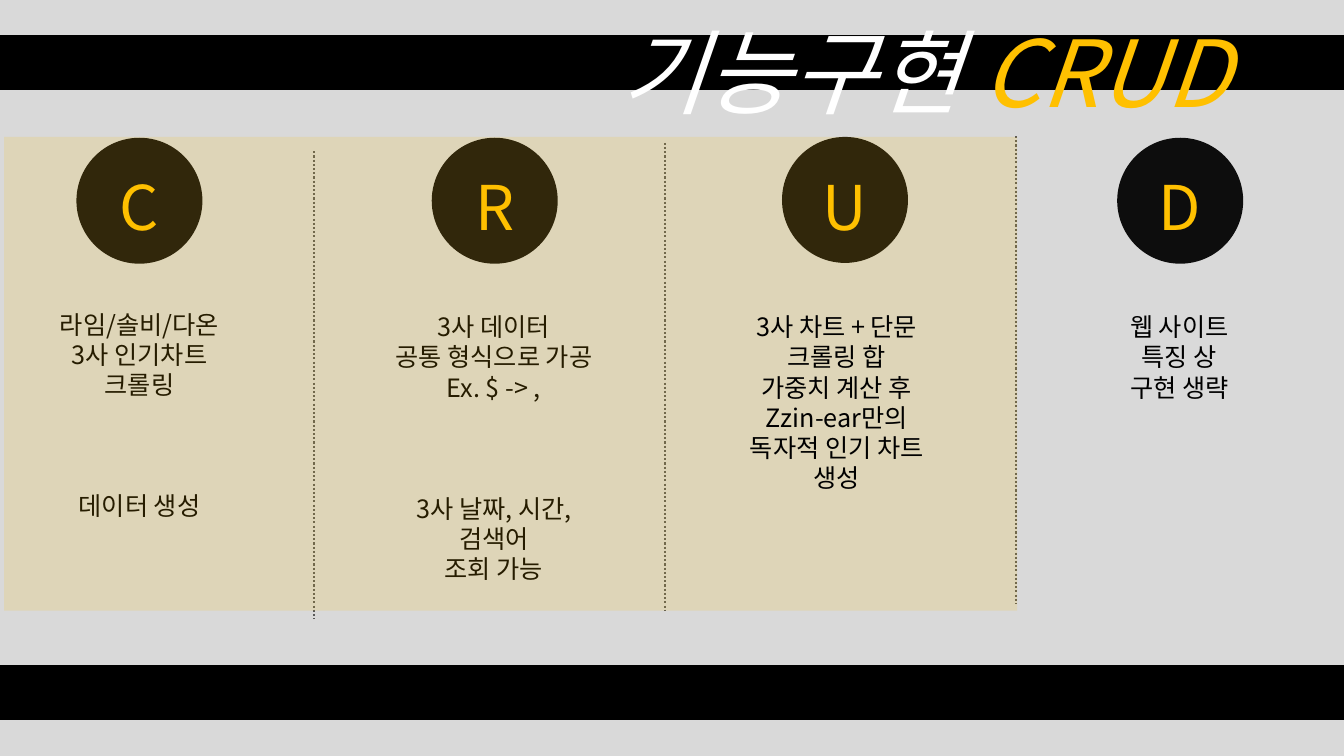
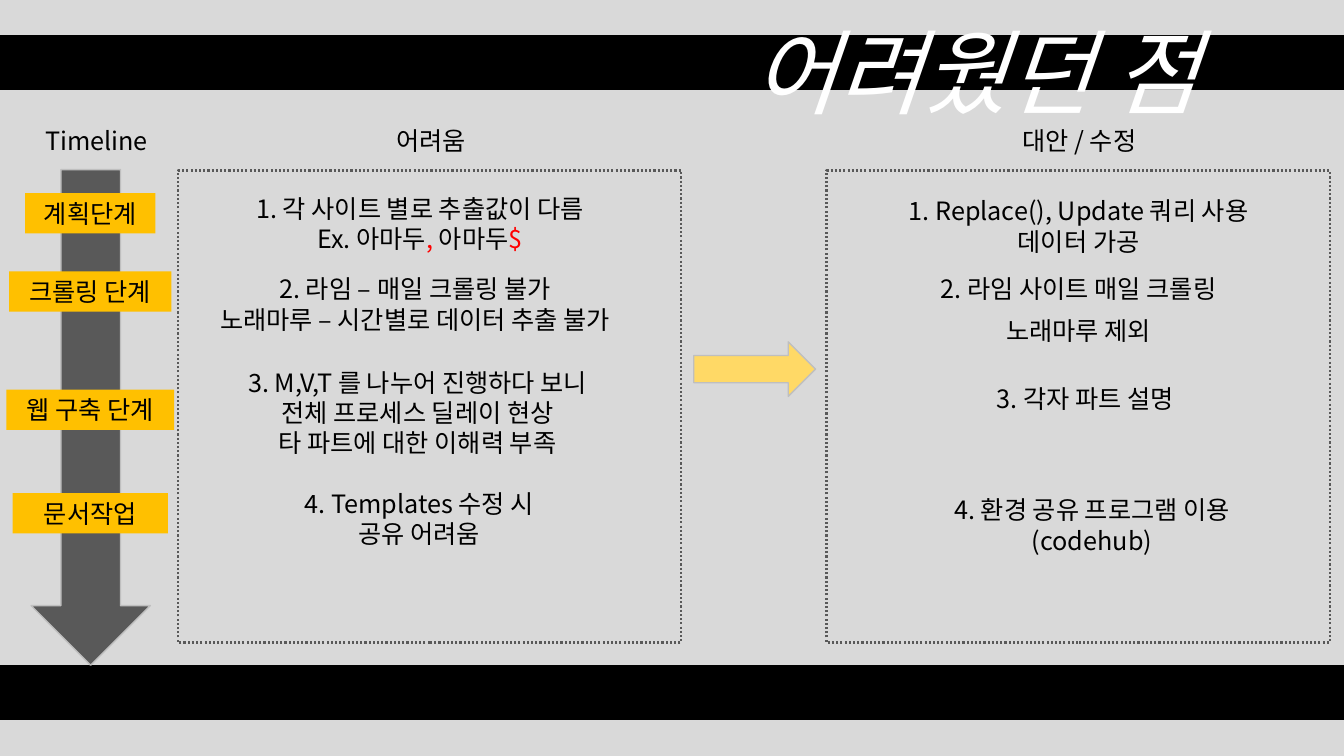
from lxml.etree import SubElement
from pptx import Presentation
from pptx.dml.color import RGBColor
from pptx.enum.dml import MSO_LINE
from pptx.enum.shapes import MSO_CONNECTOR, MSO_SHAPE
from pptx.enum.text import MSO_ANCHOR, MSO_AUTO_SIZE, PP_ALIGN
from pptx.oxml.ns import qn
from pptx.util import Inches, Pt

BLACK = RGBColor(0x00, 0x00, 0x00)
WHITE = RGBColor(0xFF, 0xFF, 0xFF)
PAPER = RGBColor(0xD9, 0xD9, 0xD9)
COAL = RGBColor(0x0D, 0x0D, 0x0D)
SLATE = RGBColor(0x59, 0x59, 0x59)
EDGE = RGBColor(0xBF, 0xBF, 0xBF)
GOLD = RGBColor(0xFF, 0xC0, 0x00)
SAND = RGBColor(0xFF, 0xD9, 0x66)
RED = RGBColor(0xFF, 0x00, 0x00)

FONT = "Noto Sans CJK KR"
COLS, ROWS = 160, 90
BODY, LETTER, TITLE = 18, 44, 66
LEAD = 1.2


class Deck:
    def __init__(self):
        self.prs = Presentation()
        self.prs.slide_width = Inches(13.33)
        self.prs.slide_height = Inches(7.5)
        fill = self.prs.slide_master.background.fill
        fill.solid()
        fill.fore_color.rgb = PAPER
        self.slide = None

    def place(self, *cells):
        units = (self.prs.slide_width / COLS, self.prs.slide_height / ROWS) * 2
        return [int(cell * unit) for cell, unit in zip(cells, units)]

    def page(self, left, *parts):
        self.slide = self.prs.slides.add_slide(self.prs.slide_layouts[5])
        for top in (4.2, 79.2):
            self.shape(MSO_SHAPE.RECTANGLE, 0, top, COLS, 6.5, BLACK)
        title = self.slide.shapes.title
        title.element.getparent().append(title.element)
        title.left, title.top, title.width, title.height = self.place(
            left, 1.2, 157.8 - left, 14.5)
        self.put(title.text_frame, [parts], TITLE, WHITE)
        for run in title.text_frame.paragraphs[0].runs:
            run.font.italic = True

    def put(self, frame, lines, size=BODY, color=BLACK, gaps=None):
        frame.word_wrap = True
        frame.vertical_anchor = MSO_ANCHOR.TOP
        for row, line in enumerate(lines):
            para = frame.paragraphs[0] if row == 0 else frame.add_paragraph()
            para.alignment = PP_ALIGN.CENTER
            para.line_spacing = Pt(size * LEAD)
            para.space_before = Pt((gaps or {}).get(row, 0))
            parts = [(line, color)] if isinstance(line, str) else line
            for words, tint in parts:
                run = para.add_run()
                run.text = words
                run.font.size = Pt(size)
                run.font.color.rgb = tint
                run.font.name = FONT
                SubElement(run.font._element, qn("a:ea"), typeface=FONT)

    def text(self, mid, top, wide, *lines, gaps=None):
        high = 1.2 + 3.6 * len(lines)
        box = self.slide.shapes.add_textbox(
            *self.place(mid - wide / 2, top, wide, high))
        self.put(box.text_frame, lines, gaps=gaps)
        box.text_frame.auto_size = MSO_AUTO_SIZE.SHAPE_TO_FIT_TEXT

    def shape(self, kind, left, top, wide, high, fill=None, edge=None, alpha=None):
        item = self.slide.shapes.add_shape(kind, *self.place(left, top, wide, high))
        item.shadow.inherit = False
        if fill is None:
            item.fill.background()
        else:
            item.fill.solid()
            item.fill.fore_color.rgb = fill
        if alpha:
            tint = next(item.element.spPr.iter(qn("a:srgbClr")))
            SubElement(tint, qn("a:alpha"), val=str(alpha * 1000))
        if edge is None:
            item.line.fill.background()
        else:
            item.line.color.rgb = edge
            item.line.width = Pt(1)
        return item

    def badge(self, mid, top, letter):
        disc = self.shape(
            MSO_SHAPE.FLOWCHART_CONNECTOR, mid - 7.5, top, 15, 15, COAL)
        frame = disc.text_frame
        self.put(frame, [letter], LETTER, GOLD)
        frame.vertical_anchor = MSO_ANCHOR.MIDDLE
        frame.margin_left = frame.margin_right = frame.margin_bottom = 0
        frame.margin_top = Inches(0.11)

    def tag(self, mid, top, wide, label):
        item = self.shape(
            MSO_SHAPE.RECTANGLE, mid - wide / 2, top, wide, 4.8, GOLD)
        self.put(item.text_frame, [label])

    def dots(self, line):
        line.color.rgb = SLATE
        line.width = Pt(1.5)
        line.dash_style = MSO_LINE.ROUND_DOT

    def panel(self, left):
        item = self.shape(MSO_SHAPE.RECTANGLE, left, 20.3, 59.9, 56.2)
        self.dots(item.line)

    def rule(self, left, top, high):
        item = self.slide.shapes.add_connector(
            MSO_CONNECTOR.STRAIGHT, *self.place(left, top, left, top + high))
        self.dots(item.line)
        SubElement(item.element.spPr, qn("a:effectLst"))


def crud(deck):
    deck.page(62.4, ("기능구현 ", WHITE), ("CRUD", GOLD))
    block = {3: 3 * BODY * LEAD}
    deck.text(16.6, 36.2, 23.6, "라임/솔비/다온", "3사 인기차트", "크롤링",
              "데이터 생성", gaps=block)
    for mid, top, letter in ((16.6, 16.4, "C"), (58.9, 16.4, "R"),
                             (100.6, 16.3, "U"), (140.5, 16.4, "D")):
        deck.badge(mid, top, letter)
    for step, top in enumerate((18, 17, 16.2)):
        deck.rule(37.4 + 41.8 * step, top, 55.6)
    deck.text(58.8, 36.5, 30.7, "3사 데이터", "공통 형식으로 가공", "Ex. $ -> ,",
              "3사 날짜, 시간,", "검색어", "조회 가능", gaps=block)
    deck.shape(MSO_SHAPE.RECTANGLE, 0.5, 16.3, 120.6, 56.4, GOLD, alpha=15)
    deck.text(99.6, 36.5, 30.7, "3사 차트 + 단문", "크롤링 합", "가중치 계산 후",
              "Zzin-ear만의", "독자적 인기 차트", "생성")
    deck.text(140.4, 36.5, 23.6, "웹 사이트", "특징 상", "구현 생략")


def issues(deck):
    deck.page(74.3, ("어려웠던 점", WHITE))
    for left in (21.2, 98.4):
        deck.panel(left)
    for mid, head in ((11.5, "Timeline"), (51.3, "어려움"), (128.5, "대안 / 수정")):
        deck.text(mid, 14.3, 19.8, head)
    deck.shape(MSO_SHAPE.RIGHT_ARROW, 82.6, 40.7, 14.5, 6.5, SAND, EDGE)
    deck.shape(MSO_SHAPE.DOWN_ARROW, 3.7, 20.2, 14.2, 59, SLATE, EDGE)
    for top, wide, label in ((23, 15.5, "계획단계"), (32.3, 19.3, "크롤링 단계"),
                             (46.4, 20, "웹 구축 단계"), (58.7, 18.5, "문서작업")):
        deck.tag(10.75, top, wide, label)
    song = (("Ex. 아마두", BLACK), (", ", RED), ("아마두", BLACK), ("$", RED))
    notes = (
        (50, 22.4, "1. 각 사이트 별로 추출값이 다름", song),
        (49.4, 32, "2. 라임 – 매일 크롤링 불가", "노래마루 – 시간별로 데이터 추출 불가"),
        (49.7, 43.1, "3. M,V,T 를 나누어 진행하다 보니", "전체 프로세스 딜레이 현상",
         "타 파트에 대한 이해력 부족"),
        (49.9, 57.5, "4. Templates 수정 시", "공유 어려움"),
        (128.4, 22.7, "1. Replace(), Update 쿼리 사용", "데이터 가공"),
        (128.4, 32, "2. 라임 사이트 매일 크롤링"),
        (128.4, 36.9, "노래마루 제외"),
        (129.2, 45, "3. 각자 파트 설명"),
        (130, 58.3, "4. 환경 공유 프로그램 이용", "(codehub)"),
    )
    for mid, top, *lines in notes:
        deck.text(mid, top, 52.6, *lines)


def main():
    deck = Deck()
    crud(deck)
    issues(deck)
    deck.prs.save("out.pptx")


if __name__ == "__main__":
    main()
